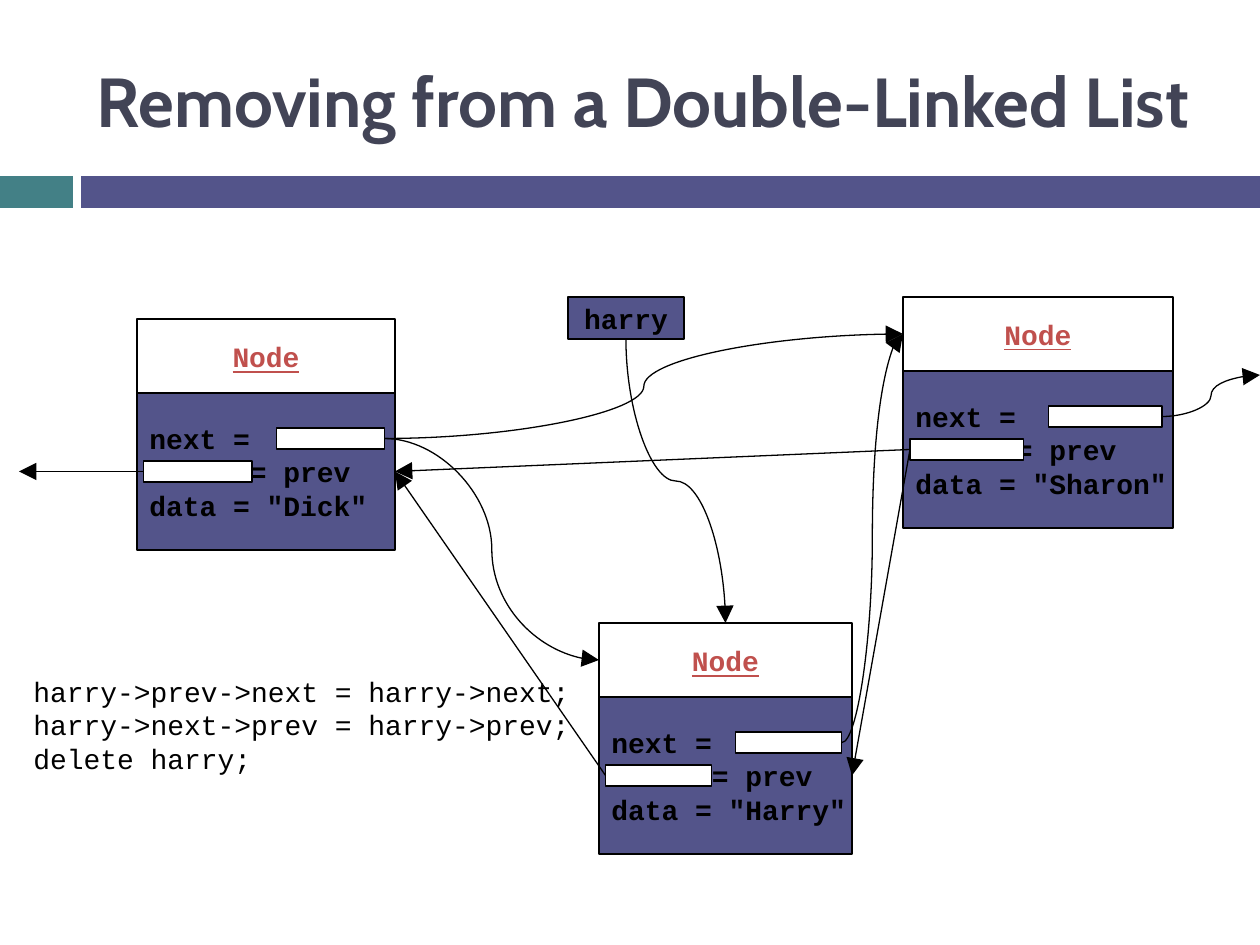
from lxml import etree
from pptx import Presentation
from pptx import util as u
from pptx.dml.color import RGBColor
from pptx.enum import shapes, text
from pptx.oxml.ns import qn

PX = 914400 / 126
INDIGO = RGBColor(0x53, 0x54, 0x8A)
TEAL = RGBColor(0x43, 0x80, 0x86)
SLATE = RGBColor(0x42, 0x44, 0x56)
RED = RGBColor(0xC0, 0x50, 0x4D)
BLACK = RGBColor(0, 0, 0)
WHITE = RGBColor(255, 255, 255)

TITLE = "Removing from a Double-Linked List"
CODE = [
    "harry->prev->next = harry->next;",
    "harry->next->prev = harry->prev;",
    "delete harry;",
]
NODES = {
    "Dick": (137, 319, 258),
    "Harry": (599, 623, 253),
    "Sharon": (903, 297, 270),
}
BARS = [(0, 73, TEAL), (81, 1179, INDIGO)]
HEADER_HEIGHT, BODY_HEIGHT, FIELD_HEIGHT = 74, 157, 21
TOP, LEFT, BOTTOM, RIGHT = range(4)


def emu(pixels):
    return u.Emu(round(pixels * PX))


def write(shape, lines, color=BLACK, font="Courier New", size=16,
          bold=True, underline=False, centered=False):
    frame = shape.text_frame
    frame.word_wrap = True
    frame.vertical_anchor = text.MSO_ANCHOR.MIDDLE
    if not centered:
        frame.margin_right = 0
    for index, line in enumerate(lines):
        para = frame.add_paragraph() if index else frame.paragraphs[0]
        para.alignment = text.PP_ALIGN.CENTER if centered else text.PP_ALIGN.LEFT
        span = para.add_run()
        span.text = line
        span.font.name = font
        span.font.size = u.Pt(size)
        span.font.bold = bold
        span.font.underline = underline
        span.font.color.rgb = color


def add_box(page, left, top, width, height, fill=None, outlined=True):
    box = page.shapes.add_shape(
        shapes.MSO_SHAPE.RECTANGLE, *map(emu, (left, top, width, height)))
    box.shadow.inherit = False
    if fill is None:
        box.fill.background()
    else:
        box.fill.solid()
        box.fill.fore_color.rgb = fill
    if outlined:
        box.line.color.rgb = BLACK
        box.line.width = u.Pt(0.75)
    else:
        box.line.fill.background()
    return box


def add_label(page, left, top, width, height, lines, **style):
    box = page.shapes.add_textbox(*map(emu, (left, top, width, height)))
    write(box, lines, **style)


def add_node(page, name, left, top, width):
    body_top = top + HEADER_HEIGHT
    body = add_box(page, left, body_top, width, BODY_HEIGHT, INDIGO)
    write(body, ["next =", "      = prev", f'data = "{name}"'])
    header = add_box(page, left, top, width, HEADER_HEIGHT)
    write(header, ["Node"], RED, underline=True, centered=True)
    field_width = 0.42 * width
    following = add_box(page, left + 0.54 * width, body_top + 35,
                        field_width, FIELD_HEIGHT, WHITE)
    previous = add_box(page, left + 0.026 * width, body_top + 68,
                       field_width, FIELD_HEIGHT, WHITE)
    return {"body": body, "header": header, "next": following, "prev": previous}


def side_point(box, side):
    across = {LEFT: 0, RIGHT: 1}.get(side, 0.5)
    down = {TOP: 0, BOTTOM: 1}.get(side, 0.5)
    return (u.Emu(round(box.left + across * box.width)),
            u.Emu(round(box.top + down * box.height)))


def add_arrow(page, kind, start, end):
    arrow = page.shapes.add_connector(kind, *start, *end)
    arrow.line.color.rgb = BLACK
    arrow.line.width = u.Pt(0.75)
    line = arrow.line._get_or_add_ln()
    etree.SubElement(line, qn("a:tailEnd"), type="triangle", w="lg", len="lg")
    etree.SubElement(arrow._element.spPr, qn("a:effectLst"))
    return arrow


def add_straight(page, source, source_side, target, target_side):
    arrow = add_arrow(page, shapes.MSO_CONNECTOR.STRAIGHT,
                      side_point(source, source_side),
                      side_point(target, target_side))
    arrow.begin_connect(source, source_side)
    arrow.end_connect(target, target_side)


def add_curve(page, start, end):
    return add_arrow(page, shapes.MSO_CONNECTOR.CURVE, start, end)


def add_downward_curve(page, start, end):
    arrow = add_curve(page, start, end)
    width, height = arrow.width, arrow.height
    shift = (height - width) // 2
    arrow.left, arrow.top = arrow.left - shift, arrow.top + shift
    arrow.width, arrow.height = height, width
    frame = arrow._element.spPr.find(qn("a:xfrm"))
    frame.set("rot", "16200000")
    frame.set("flipH", "1")


def main():
    deck = Presentation()
    deck.slide_width, deck.slide_height = emu(1260), emu(945)
    page = deck.slides.add_slide(deck.slide_layouts[6])

    for left, width, color in BARS:
        add_box(page, left, 176, width, 32, color, outlined=False)
    add_label(page, 84, 32, 1124, 136, [TITLE],
              color=SLATE, font="Cabin", size=39.6)

    nodes = {name: add_node(page, name, *place) for name, place in NODES.items()}
    dick, harry, sharon = nodes["Dick"], nodes["Harry"], nodes["Sharon"]
    pointer = add_box(page, 568, 297, 116, 42, INDIGO)
    write(pointer, ["harry"], centered=True)
    add_label(page, 21, 609, 605, 231, CODE, bold=False)

    for source, target in [(dick, harry), (harry, sharon), (dick, sharon)]:
        add_curve(page, side_point(source["next"], RIGHT),
                  side_point(target["header"], LEFT))
    add_curve(page, side_point(sharon["next"], RIGHT), (emu(1260), emu(375)))
    add_downward_curve(page, side_point(pointer, BOTTOM),
                       side_point(harry["header"], TOP))

    for source, target in [(harry, dick), (sharon, harry), (sharon, dick)]:
        add_straight(page, source["prev"], LEFT, target["body"], RIGHT)
    start = side_point(dick["prev"], LEFT)
    outgoing = add_arrow(page, shapes.MSO_CONNECTOR.STRAIGHT,
                         start, (emu(19), start[1]))
    outgoing.begin_connect(dick["prev"], LEFT)

    deck.save("out.pptx")


if __name__ == "__main__":
    main()
